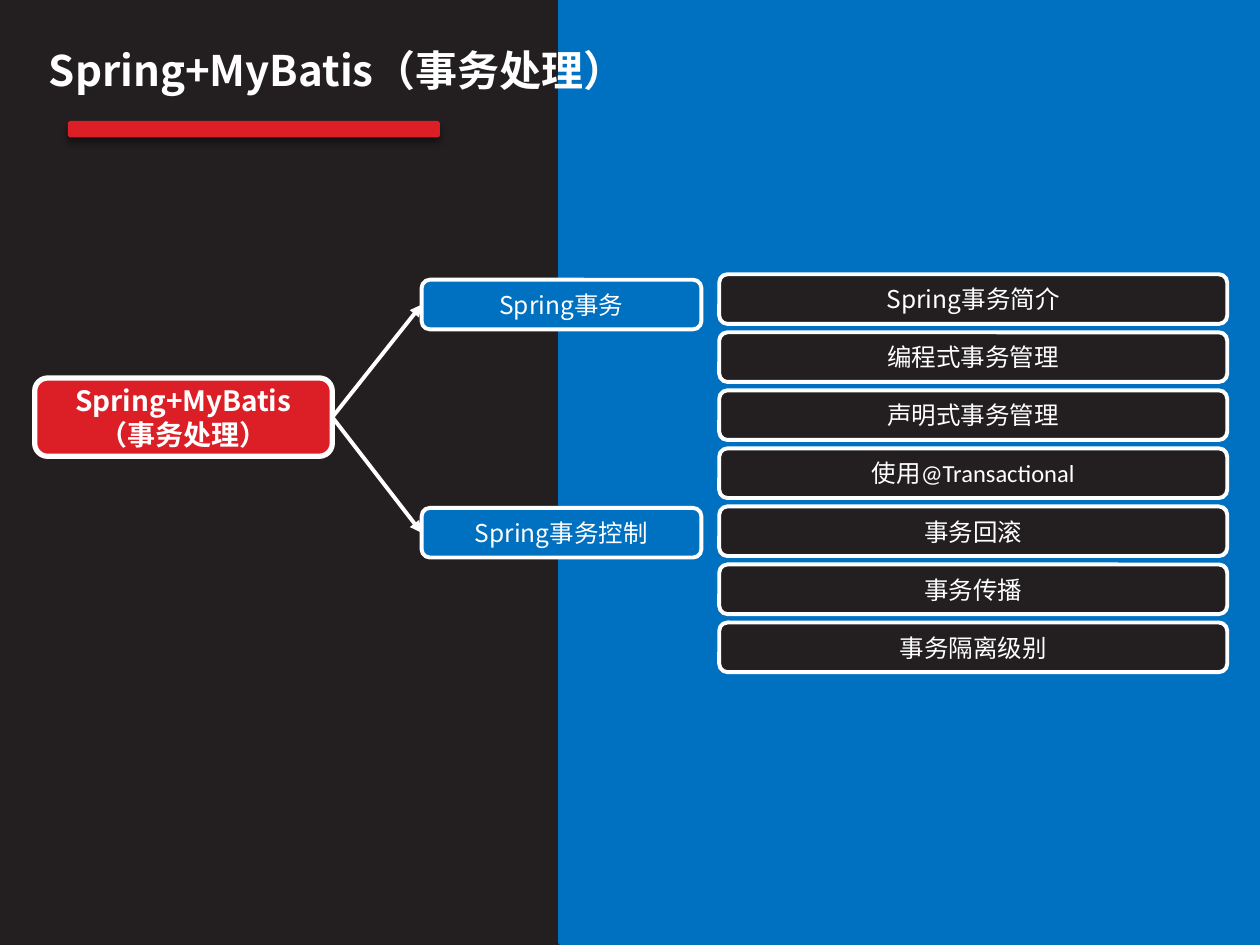
"""Build a slide that maps Spring+MyBatis transaction topics as a tree."""
from dataclasses import dataclass

from pptx import Presentation
from pptx.dml.color import RGBColor
from pptx.enum import shapes, text
from pptx.oxml import parse_xml
from pptx.oxml.ns import nsdecls, qn
from pptx.util import Cm, Pt


@dataclass
class Theme:
    dark: str = "231F20"
    blue: str = "0070C0"
    red: str = "DC1F26"
    white: str = "FFFFFF"
    font: str = "Noto Sans CJK SC"
    code: str = "Calibri"
    head: int = 24
    root: int = 16
    item: int = 14
    thick: float = 3
    thin: float = 2.25


theme = Theme()
rgb = RGBColor.from_string
kinds = shapes.MSO_SHAPE


def style(frame, size, bold=False):
    for para in frame.paragraphs:
        para.alignment = text.PP_ALIGN.CENTER
        for run in para.runs:
            font = run.font
            font.size, font.bold = Pt(size), bold
            font.color.rgb = rgb(theme.white)
            font.name = theme.code if run.text.startswith("@") else theme.font
            east = font._element.makeelement(qn("a:ea"), {"typeface": font.name})
            font._element.find(qn("a:latin")).addnext(east)


def box(kind, place, fill, edge=None, width=0):
    shape = slide.shapes.add_shape(kind, *map(Cm, place))
    shape.shadow.inherit = False
    shape.fill.solid()
    shape.fill.fore_color.rgb = rgb(fill)
    if edge:
        shape.line.color.rgb = rgb(edge)
        shape.line.width = Pt(width)
    else:
        shape.line.fill.background()
    return shape


deck = Presentation()
deck.slide_width, deck.slide_height = Cm(25.4), Cm(19.05)
slide = deck.slides.add_slide(deck.slide_layouts[5])
slide.background.fill.solid()
slide.background.fill.fore_color.rgb = rgb(theme.dark)

panel = box(kinds.RECTANGLE, (11.3, 0, 14.1, 19), theme.blue, theme.blue, theme.thick)
slide.shapes._spTree.insert(2, panel._element)

topic = "Spring+MyBatis（事务处理）"
title = slide.shapes.title
title.left, title.top, title.width, title.height = map(Cm, (-0.5, 0.76, 14.6, 1.8))
title.text_frame.text = topic
title.text_frame.vertical_anchor = text.MSO_ANCHOR.TOP
title.text_frame.auto_size = text.MSO_AUTO_SIZE.NONE
style(title.text_frame, theme.head, True)

bar = box(kinds.ROUNDED_RECTANGLE, (1.37, 2.44, 7.5, 0.33), theme.red)
bar._element.spPr.find(qn("a:effectLst")).append(parse_xml(
    f'<a:outerShdw {nsdecls("a")} blurRad="{Pt(4)}" dist="{Pt(3)}" dir="5400000" '
    'rotWithShape="0"><a:srgbClr val="000000"><a:alpha val="43000"/></a:srgbClr>'
    '</a:outerShdw>'))

root = box(kinds.ROUNDED_RECTANGLE, (0.7, 7.62, 6, 1.58), theme.red, theme.white, theme.thick)
root.text_frame.text = topic
style(root.text_frame, theme.root, True)

for top, name in ((5.64, "Spring事务"), (10.24, "Spring事务控制")):
    branch = box(kinds.ROUNDED_RECTANGLE, (8.5, top, 5.64, 1), theme.blue, theme.white, theme.thin)
    branch.text_frame.text = name
    style(branch.text_frame, theme.item)
    arrow = slide.shapes.add_connector(shapes.MSO_CONNECTOR.STRAIGHT, 0, 0, 0, 0)
    arrow.begin_connect(root, 3)
    arrow.end_connect(branch, 1)
    arrow.line.color.rgb = rgb(theme.white)
    arrow.line.width = Pt(theme.thin)
    arrow.line._get_or_add_ln().append(parse_xml(f'<a:tailEnd {nsdecls("a")} type="triangle"/>'))
    arrow._element.spPr.append(parse_xml(f'<a:effectLst {nsdecls("a")}/>'))

items = (
    ["Spring事务简介"], ["编程式事务管理"], ["声明式事务管理"],
    ["使用", "@Transactional"], ["事务回滚"], ["事务传播"], ["事务隔离级别"],
)
for row, parts in enumerate(items):
    place = (14.5, 5.53 + 1.17 * row, 10.24, 1)
    item = box(kinds.ROUNDED_RECTANGLE, place, theme.dark, theme.white, theme.thin)
    for part in parts:
        item.text_frame.paragraphs[0].add_run().text = part
    style(item.text_frame, theme.item)

deck.save("out.pptx")
